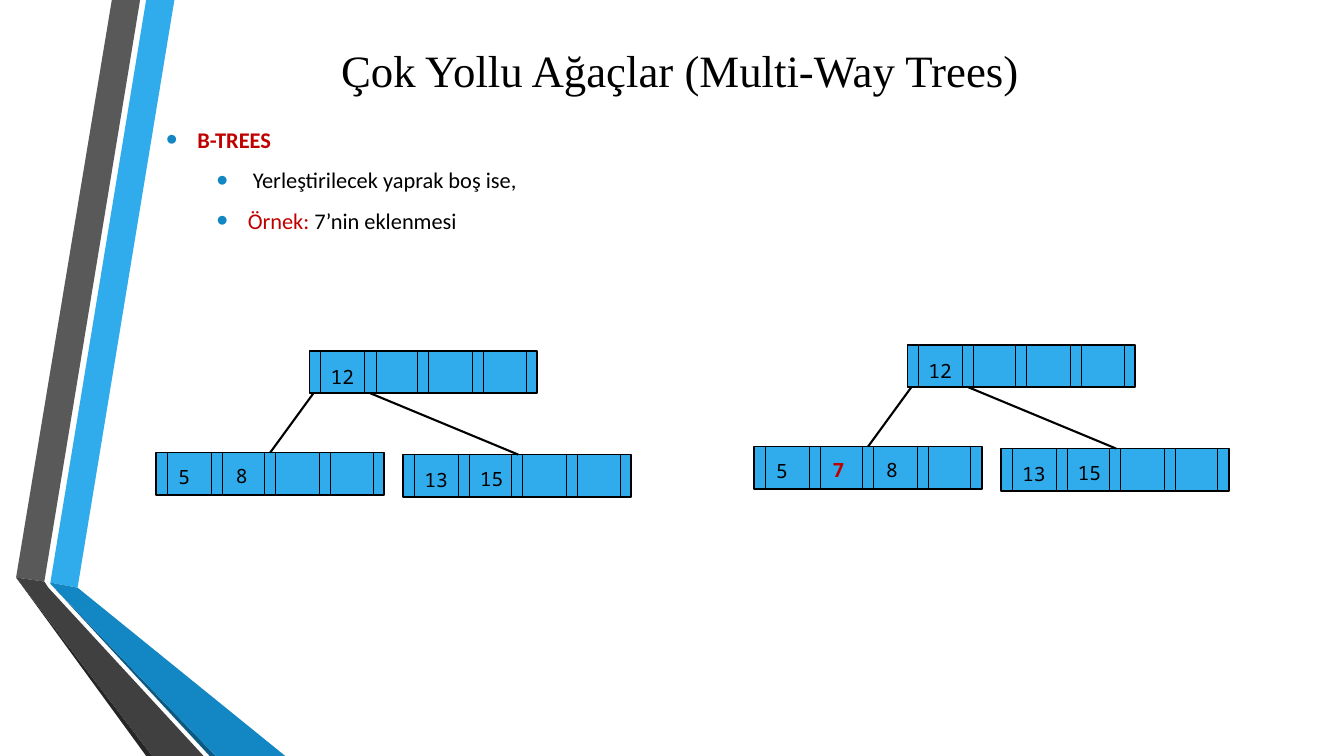
from lxml import etree
from pptx import Presentation
from pptx.dml.color import RGBColor
from pptx.enum import shapes, text
from pptx.oxml import ns
from pptx.util import Inches, Pt

BLACK = RGBColor(0x00, 0x00, 0x00)
RED = RGBColor(0xC0, 0x00, 0x00)
SKY = RGBColor(0x30, 0xAC, 0xEC)
BLUE = RGBColor(0x12, 0x87, 0xC3)
NAVY = RGBColor(0x0C, 0x5A, 0x82)
GREY = RGBColor(0x59, 0x59, 0x59)
DARK_GREY = RGBColor(0x40, 0x40, 0x40)
SHADE = RGBColor(0x26, 0x26, 0x26)

# Ribbon facets, in inches from the ribbon's top left corner
FACETS = [
    (SKY, [(0.5, 5.78), (0.77, 5.83), (1.73, 0), (1.45, 0)]),
    (GREY, [(1.39, 0), (1.11, 0), (0.16, 5.73), (0.44, 5.77)]),
    (SHADE, [(0.16, 5.73), (1.45, 7.5), (1.51, 7.5)]),
    (NAVY, [(0.5, 5.79), (2.08, 7.5), (2.14, 7.5)]),
    (BLUE, [(0.5, 5.79), (2.14, 7.5), (2.83, 7.5), (0.77, 5.83), (0.5, 5.78)]),
    (DARK_GREY, [(2.02, 7.5), (0.48, 5.83), (0.44, 5.77), (0.16, 5.73), (1.51, 7.5)]),
]

# B-tree node: each pointer strip sits left of a key slot, plus one at the end
NODE_WIDTH, NODE_HEIGHT = 2.26, 0.42
STRIP_WIDTH = 0.11
STRIP_LEFTS = [0, 0.55, 1.07, 1.62, 2.15]


def add_ribbon(page, left, top):
    for colour, points in FACETS:
        corners = [(Inches(left + x), Inches(top + y)) for x, y in points]
        builder = page.shapes.build_freeform(*corners[0])
        builder.add_line_segments(corners[1:], close=True)
        facet = builder.convert_to_shape()
        facet.shadow.inherit = False
        facet.fill.solid()
        facet.fill.fore_color.rgb = colour
        facet.line.fill.background()


def add_text_box(page, left, top, width, height):
    box = page.shapes.add_textbox(Inches(left), Inches(top), Inches(width), Inches(height))
    box.text_frame.word_wrap = True
    return box.text_frame


def add_span(para, words, size, font, colour=BLACK, bold=False):
    span = para.add_run()
    span.text = words
    span.font.size = Pt(size)
    span.font.name = font
    span.font.color.rgb = colour
    span.font.bold = bold


def add_title(page, left, top, width, height):
    frame = add_text_box(page, left, top, width, height)
    frame.vertical_anchor = text.MSO_ANCHOR.MIDDLE
    para = frame.paragraphs[0]
    para.alignment = text.PP_ALIGN.CENTER
    add_span(para, "Çok Yollu Ağaçlar (Multi-Way Trees)", 32, "Times New Roman")


def add_bullet(para, indent):
    properties = para._p.get_or_add_pPr()
    properties.set("marL", str(Inches(indent)))
    properties.set("indent", str(Inches(-0.31)))
    colour = etree.SubElement(properties, ns.qn("a:buClr"))
    etree.SubElement(colour, ns.qn("a:srgbClr"), val=str(BLUE))
    etree.SubElement(properties, ns.qn("a:buSzPct"), val="145000")
    etree.SubElement(properties, ns.qn("a:buFont"), typeface="Arial")
    etree.SubElement(properties, ns.qn("a:buChar"), char="•")


def add_body(page, left, top, width, height):
    lines = [
        (0, [("B-TREES", RED, True)]),
        (1, [(" Yerleştirilecek yaprak boş ise,", BLACK, False)]),
        (1, [("Örnek: ", RED, False), ("7’nin eklenmesi", BLACK, False)]),
    ]
    frame = add_text_box(page, left, top, width, height)
    for index, (level, spans) in enumerate(lines):
        para = frame.add_paragraph() if index else frame.paragraphs[0]
        add_bullet(para, 0.31 + 0.5 * level)
        para.level = level
        para.alignment = text.PP_ALIGN.JUSTIFY
        para.line_spacing = 1.5
        for words, colour, bold in spans:
            add_span(para, words, 16, "Calibri", colour, bold)


def add_line(page, x1, y1, x2, y2, weight):
    line = page.shapes.add_connector(
        shapes.MSO_CONNECTOR.STRAIGHT, Inches(x1), Inches(y1), Inches(x2), Inches(y2))
    line.line.color.rgb = BLACK
    line.line.width = Pt(weight)
    etree.SubElement(line._element.spPr, ns.qn("a:effectLst"))


def add_node(page, left, top, keys):
    """Keys are (label, x offset, y offset, colour) within the node."""
    node = page.shapes.add_shape(
        shapes.MSO_SHAPE.RECTANGLE, Inches(left), Inches(top),
        Inches(NODE_WIDTH), Inches(NODE_HEIGHT))
    node.shadow.inherit = False
    node.fill.solid()
    node.fill.fore_color.rgb = SKY
    node.line.color.rgb = BLACK
    node.line.width = Pt(1.25)
    for strip in STRIP_LEFTS:
        for x in (left + strip, left + strip + STRIP_WIDTH):
            add_line(page, x, top, x, top + NODE_HEIGHT, 0.75)
    for label, x, y, colour in keys:
        frame = add_text_box(page, left + x, top + y, 0.48, 0.34)
        add_span(frame.paragraphs[0], label, 14, "Noto Sans Mono", colour, colour == RED)


def add_tree(page, left, top, left_keys):
    # Root and its two leaves
    add_node(page, left + 1.52, top, [("12", 0.11, 0.09, BLACK)])
    add_node(page, left, top + 1.01, left_keys)
    add_node(page, left + 2.45, top + 1.03,
             [("13", 0.11, 0.08, BLACK), ("15", 0.66, 0.07, BLACK)])
    # Edges from the root's pointers to the leaves
    for x1, x2, y2 in [(1.56, 1.13, 1.01), (2.12, 3.59, 1.03)]:
        add_line(page, left + x1, top + NODE_HEIGHT, left + x2, top + y2, 1.5)


def main():
    deck = Presentation()
    deck.slide_width, deck.slide_height = Inches(13.33), Inches(7.5)
    page = deck.slides.add_slide(deck.slide_layouts[6])
    add_ribbon(page, 0, 0)
    add_title(page, 1.55, 0.17, 10.39, 1.04)
    add_body(page, 1.55, 1.07, 10.87, 1.67)
    # Before and after inserting 7
    five = ("5", 0.12, 0.07, BLACK)
    add_tree(page, 1.55, 3.48, [five, ("8", 0.69, 0.06, BLACK)])
    add_tree(page, 7.48, 3.42, [five, ("7", 0.68, 0.06, RED), ("8", 1.21, 0.06, BLACK)])
    deck.save("out.pptx")


if __name__ == "__main__":
    main()
